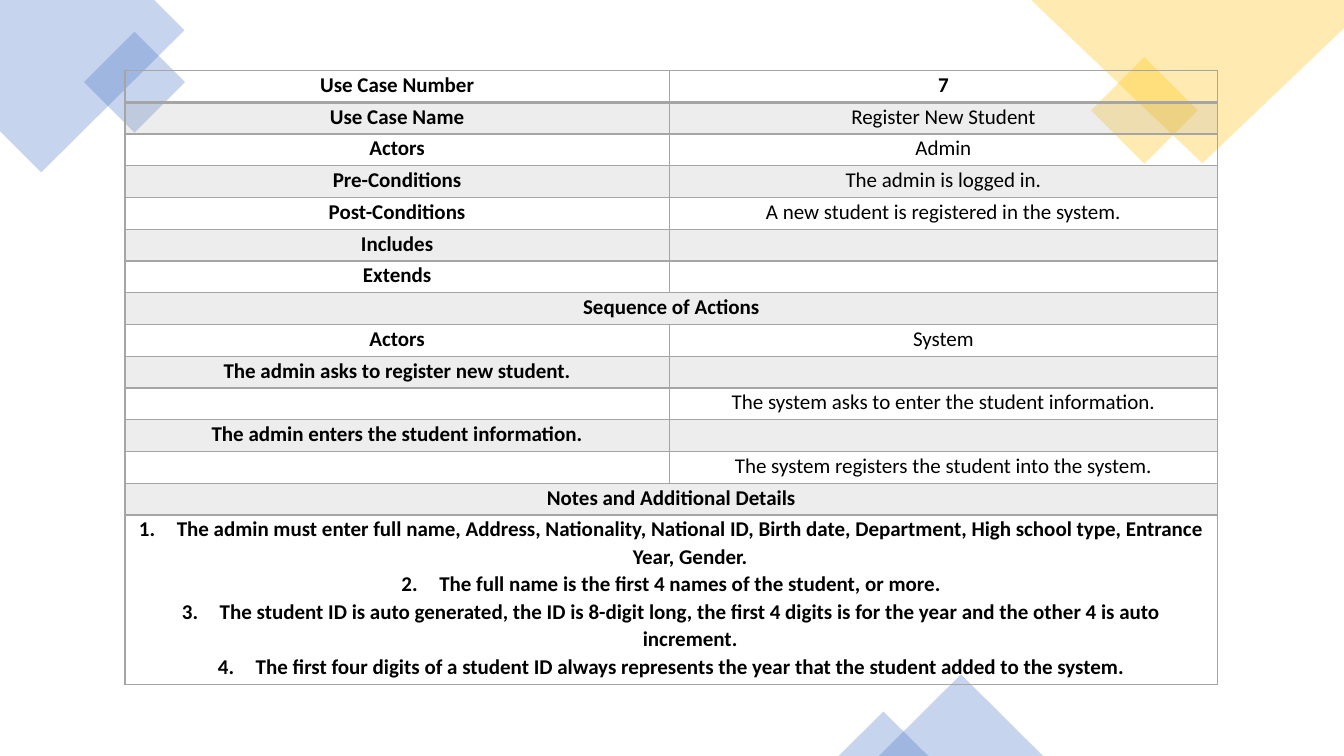
from lxml import etree
from pptx import Presentation
from pptx.dml.color import RGBColor
from pptx.enum import shapes, text
from pptx.oxml import ns
from pptx.util import Pt

PX = 4572  # EMU per px, 200 px to the inch
BLUE = RGBColor(0x44, 0x72, 0xC4)
GOLD = RGBColor(0xFF, 0xC0, 0x00)
GRAY = RGBColor(0xA5, 0xA5, 0xA5)
BLACK = RGBColor(0, 0, 0)


def set_tint(fill, color, percent):
    """Fill with a colour at the given opacity."""
    fill.solid()
    fill.fore_color.rgb = color
    clr = fill._xPr.find(ns.qn("a:solidFill"))[0]
    etree.SubElement(clr, ns.qn("a:alpha"), val=str(percent * 1000))


def set_border(cell, order, side, points):
    ln = etree.Element(ns.qn("a:ln" + side), w=str(Pt(points)))
    fill = etree.SubElement(ln, ns.qn("a:solidFill"))
    etree.SubElement(fill, ns.qn("a:srgbClr"), val=str(GRAY))
    cell._tc.get_or_add_tcPr().insert(order, ln)


prs = Presentation()
prs.slide_width, prs.slide_height = 2667 * PX, 1500 * PX
s = prs.slides.add_slide(prs.slide_layouts[6])

# Corner decorations
blue_corner = [(306, 0), (0, 0), (0, 260), (82, 342), (366, 60)]
gold_corner = [(2667, 0), (2046, 0), (2386, 324), (2667, 56)]
diamond, triangle = shapes.MSO_SHAPE.RECTANGLE, shapes.MSO_SHAPE.ISOSCELES_TRIANGLE
decorations = [
    (blue_corner, None, BLUE),
    (diamond, (196, 92, 142, 142), BLUE),
    (diamond, (2196, 144, 150, 150), GOLD),
    (gold_corner, None, GOLD),
    (triangle, (1744, 1338, 326, 162), BLUE),
    (triangle, (1664, 1412, 178, 88), BLUE),
]
for outline, box, color in decorations:
    if box:
        sp = s.shapes.add_shape(outline, *(v * PX for v in box))
        sp.rotation = 315 if outline == diamond else 0
    else:
        builder = s.shapes.build_freeform(*outline[0], scale=PX)
        builder.add_line_segments(outline[1:], close=True)
        sp = builder.convert_to_shape()
    sp.shadow.inherit = False
    sp.line.fill.background()
    set_tint(sp.fill, color, 30)

# Use case table: a row with one entry spans both columns
notes = [
    "The admin must enter full name, Address, Nationality, National ID, Birth date, "
    "Department, High school type, Entrance Year, Gender.",
    "The full name is the first 4 names of the student, or more.",
    "The student ID is auto generated, the ID is 8-digit long, the first 4 digits is "
    "for the year and the other 4 is auto increment.",
    "The first four digits of a student ID always represents the year that the student "
    "added to the system.",
]
rows = [
    ["Use Case Number", "7"],
    ["Use Case Name", "Register New Student"],
    ["Actors", "Admin"],
    ["Pre-Conditions", "The admin is logged in."],
    ["Post-Conditions", "A new student is registered in the system."],
    ["Includes", ""],
    ["Extends", ""],
    ["Sequence of Actions"],
    ["Actors", "System"],
    ["The admin asks to register new student.", ""],
    ["", "The system asks to enter the student information."],
    ["The admin enters the student information.", ""],
    ["", "The system registers the student into the system."],
    ["Notes and Additional Details"],
    ["\n".join(notes)],
]
last = len(rows) - 1
frame = s.shapes.add_table(len(rows), 2, 248 * PX, 140 * PX, 2168 * PX, 1218 * PX)
table = frame.table
table.first_row = table.horz_banding = False
table.columns[0].width, table.columns[1].width = 1080 * PX, 1088 * PX

for i, entries in enumerate(rows):
    table.rows[i].height = (336 if i == last else 63) * PX
    if len(entries) == 1:
        table.cell(i, 0).merge(table.cell(i, 1))
    for j in range(2):
        cell = table.cell(i, j)
        cell.margin_left = cell.margin_right = 15 * PX
        cell.margin_top = cell.margin_bottom = 0
        widths = {"L": 1, "R": 1, "T": 2 if i == 1 else 1, "B": 2 if i == 0 else 1}
        for order, (side, points) in enumerate(widths.items()):
            set_border(cell, order, side, points)
        if i % 2:
            set_tint(cell.fill, GRAY, 20)
        else:
            cell.fill.background()

        tf = cell.text_frame
        if j < len(entries):
            tf.text = entries[j]
        for p in tf.paragraphs:
            p.alignment = text.PP_ALIGN.CENTER
            p.line_spacing = 1.07
            p._p.get_or_add_endParaRPr().set("sz", "1500")
            if i == last and j == 0:
                pPr = p._p.get_or_add_pPr()
                pPr.set("marL", str(75 * PX))
                pPr.set("indent", str(-75 * PX))
                etree.SubElement(pPr, ns.qn("a:buFont"), typeface="+mj-lt")
                etree.SubElement(pPr, ns.qn("a:buAutoNum"), type="arabicPeriod")
            for r in p.runs:
                r.font.name = "Calibri"
                r.font.size = Pt(15)
                r.font.bold = i == 0 or j == 0
                r.font.color.rgb = BLACK
        tf.paragraphs[-1].space_after = Pt(8)

prs.save("out.pptx")
